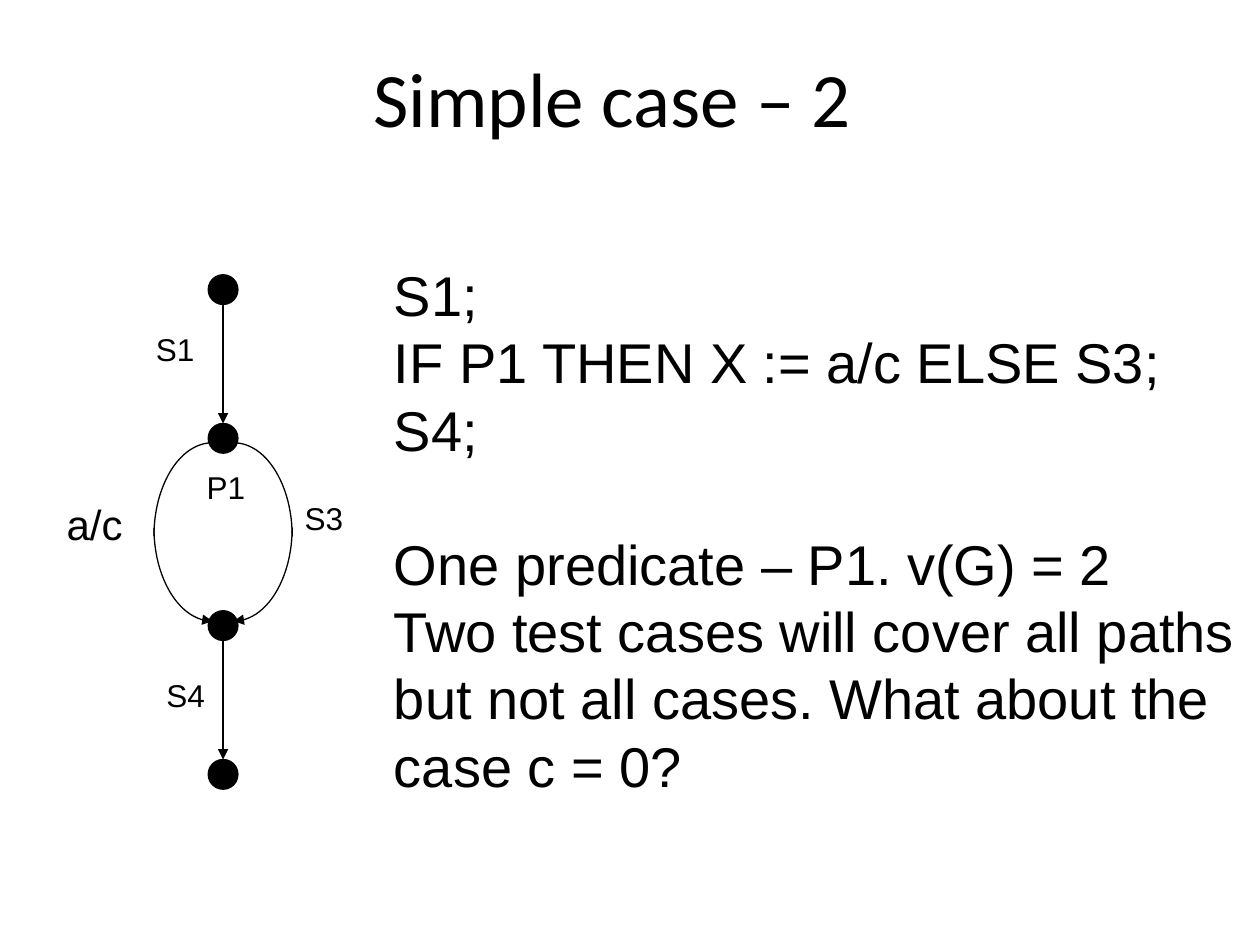
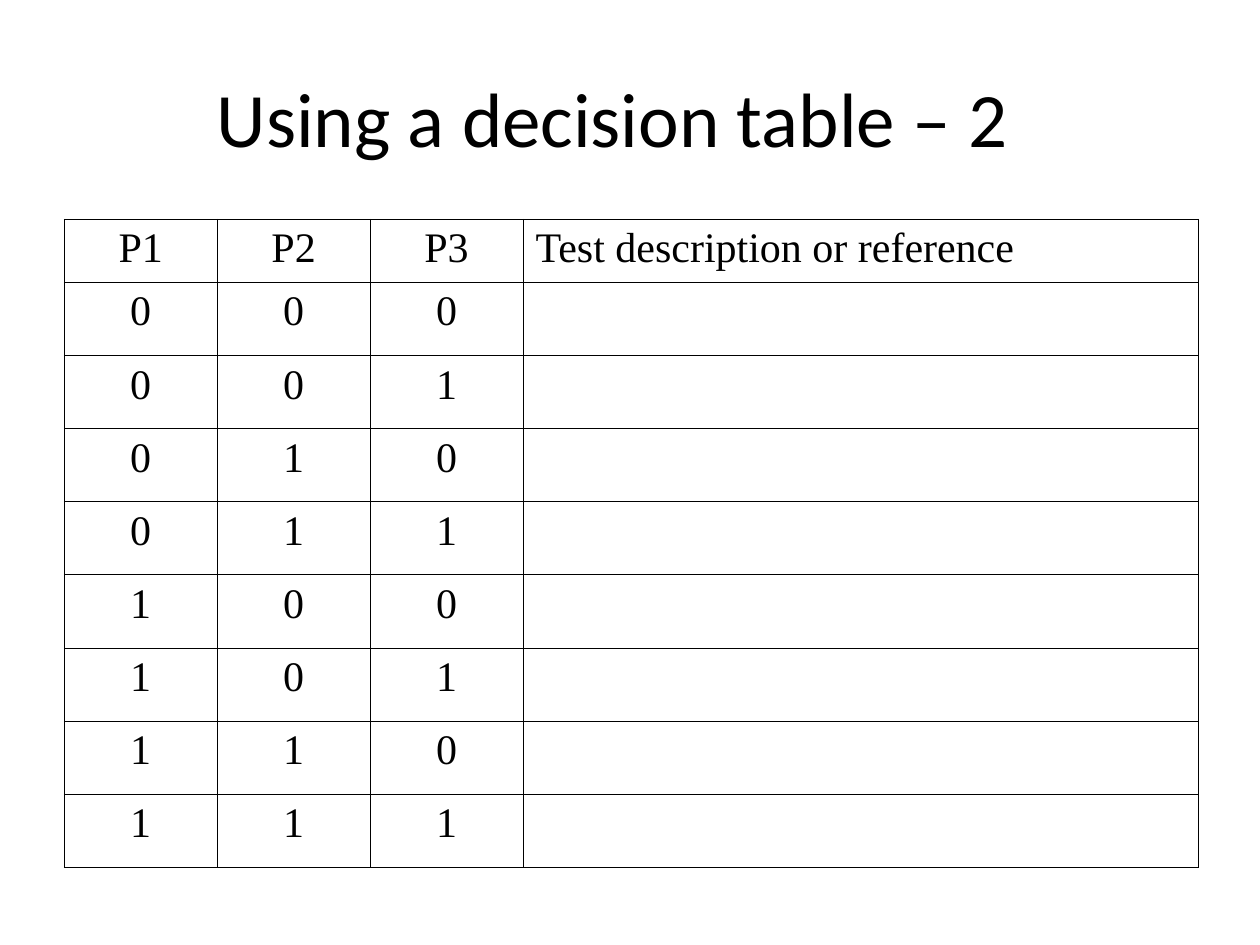
import itertools
import math

import pptx
import pptx.dml.color
import pptx.enum.shapes
import pptx.enum.text
import pptx.oxml.ns
import pptx.util
from lxml import etree

Pt = pptx.util.Pt
ALIGN = pptx.enum.text.PP_ALIGN
ANCHOR = pptx.enum.text.MSO_ANCHOR
AUTO_SIZE = pptx.enum.text.MSO_AUTO_SIZE
qn = pptx.oxml.ns.qn

INK = "000000"
LINE_WIDTH = 0.75
TITLE_FONT = {"name": "Calibri", "size": Pt(44), "bold": False}
TITLE_FRAME = {"word_wrap": True, "auto_size": AUTO_SIZE.NONE,
               "vertical_anchor": ANCHOR.MIDDLE, "margin_right": Pt(27)}
LABEL_FRAME = {"word_wrap": False, "auto_size": AUTO_SIZE.NONE,
               "vertical_anchor": ANCHOR.TOP}
LEADING = 1.2


def rgb(hex_color):
    return pptx.dml.color.RGBColor.from_string(hex_color)


def apply(target, values):
    for attribute, value in values.items():
        setattr(target, attribute, value)


def style_font(font, values):
    apply(font, values)
    font.color.rgb = rgb(INK)


def style_line(shape, arrow_end=None):
    """Thin ink line; arrow_end is headEnd or tailEnd."""
    shape.line.color.rgb = rgb(INK)
    shape.line.width = Pt(LINE_WIDTH)
    if arrow_end:
        line = shape.line._get_or_add_ln()
        etree.SubElement(line, qn("a:" + arrow_end), type="triangle")


def add_titled_slide(deck, title_text, height):
    slide = deck.slides.add_slide(deck.slide_layouts[5])
    title = slide.shapes.title
    apply(title, {"left": Pt(36), "top": Pt(21.6),
                  "width": Pt(648), "height": Pt(height)})
    apply(title.text_frame, TITLE_FRAME)
    title.text_frame.text = title_text
    heading = title.text_frame.paragraphs[0]
    heading.alignment = ALIGN.CENTER
    style_font(heading.font, TITLE_FONT)
    return slide


def add_text(slide, box, lines, size, gap_before=None):
    """Unwrapped lines; gap_before is the index of a line set one line lower."""
    frame = slide.shapes.add_textbox(*map(Pt, box)).text_frame
    apply(frame, LABEL_FRAME)
    frame.text = "\n".join(lines)
    for index, paragraph in enumerate(frame.paragraphs):
        paragraph.line_spacing = Pt(size * LEADING)
        if index == gap_before:
            paragraph.space_before = Pt(size * LEADING)
        style_font(paragraph.font, {"name": "Arial", "size": Pt(size)})


# Flow graph
def add_node(slide, axis, top, diameter):
    node = slide.shapes.add_shape(pptx.enum.shapes.MSO_SHAPE.OVAL, *map(
        Pt, (axis - diameter / 2, top, diameter, diameter)))
    node.shadow.inherit = False
    node.fill.solid()
    node.fill.fore_color.rgb = rgb(INK)
    style_line(node)


def add_step(slide, axis, start, end):
    step = slide.shapes.add_connector(
        pptx.enum.shapes.MSO_CONNECTOR.STRAIGHT,
        *map(Pt, (axis, start, axis, end)))
    style_line(step, "tailEnd")
    etree.SubElement(step._element.spPr, qn("a:effectLst"))


def add_branch_quarter(slide, x, y, reach, drop, arrow_end=None):
    """Quarter ellipse from (x, y) out by reach and along by drop."""
    steps = 24
    angles = [math.pi / 2 * i / steps for i in range(steps + 1)]
    points = [(Pt(x + reach * math.sin(a)), Pt(y + drop * (1 - math.cos(a))))
              for a in angles]
    builder = slide.shapes.build_freeform(*points[0])
    builder.add_line_segments(points[1:], close=False)
    branch = builder.convert_to_shape()
    branch.shadow.inherit = False
    branch.fill.background()
    style_line(branch, arrow_end)


def add_flow_graph(slide, left, top):
    axis, diameter = left + 96.5, 17
    entry, fork, join, leave = (top + y for y in (0, 85, 192, 277))
    for node_top in (leave, entry, fork, join):
        add_node(slide, axis, node_top, diameter)
    for start, end in ((entry, fork), (join, leave)):
        add_step(slide, axis, start + diameter, end)
    for side in (-1, 1):
        x, reach, drop = axis + side * 6, side * 33.5, 53.5
        add_branch_quarter(slide, x, fork + 11, reach, drop)
        add_branch_quarter(slide, x, join + 6, reach, -drop, "headEnd")
    for text, x, y, width, size in (
            ("S4", 57, 226, 36, 18), ("S3", 136, 124.5, 36, 18),
            ("S1", 51, 28, 36, 18), ("a/c", 0, 124.5, 46, 24),
            ("P1", 80, 107, 36, 18)):
        add_text(slide, (left + x, top + y, width, size * LEADING + 7.2),
                 [text], size)


# Decision table
def set_borders(cell, widths):
    properties = cell._tc.get_or_add_tcPr()
    for position, (side, width) in enumerate(widths.items()):
        border = etree.Element(qn("a:ln" + side), w=str(Pt(width)))
        fill = etree.SubElement(border, qn("a:solidFill"))
        etree.SubElement(fill, qn("a:srgbClr"), val=INK)
        properties.insert(position, border)


def add_decision_table(slide, left, top):
    header = ["P1", "P2", "P3", "Test description or reference"]
    rows = [header] + [[*case, ""] for case in itertools.product("01", repeat=3)]
    column_widths = [87.4] * 3 + [385.8]
    row_heights = [36] + [41.8] * 8
    table = slide.shapes.add_table(len(rows), len(header), *map(
        Pt, (left, top, sum(column_widths), sum(row_heights)))).table
    apply(table, {"first_row": False, "horz_banding": False})
    for column, width in zip(table.columns, column_widths):
        column.width = Pt(width)
    for r, (row, height) in enumerate(zip(rows, row_heights)):
        table.rows[r].height = Pt(height)
        for c, text in enumerate(row):
            cell = table.cell(r, c)
            cell.text = text
            cell.fill.background()
            set_borders(cell, {"L": 0.45, "R": 0.45,
                               "T": 0.96 if r == 1 else 0.45,
                               "B": 0.96 if r == 0 else 0.45})
            paragraph = cell.text_frame.paragraphs[0]
            paragraph.alignment = ALIGN.CENTER if c < 3 else ALIGN.LEFT
            style_font(paragraph.font, {"name": "Times New Roman", "size": Pt(24)})


def main():
    deck = pptx.Presentation()
    apply(deck, {"slide_width": Pt(720), "slide_height": Pt(540)})

    simple_case = add_titled_slide(deck, "Simple case – 2", 67)
    add_flow_graph(simple_case, 31, 157)
    add_text(simple_case, (218, 145.4, 497, 314.6), [
        "S1;",
        "IF P1 THEN X := a/c ELSE S3;",
        "S4;",
        "One predicate – P1. v(G) = 2",
        "Two test cases will cover all paths",
        "but not all cases. What about the",
        "case c = 0?",
    ], 32, gap_before=3)

    decisions = add_titled_slide(deck, "Using a decision table – 2", 90)
    add_decision_table(decisions, 36.7, 125.3)

    deck.save("out.pptx")


if __name__ == "__main__":
    main()
